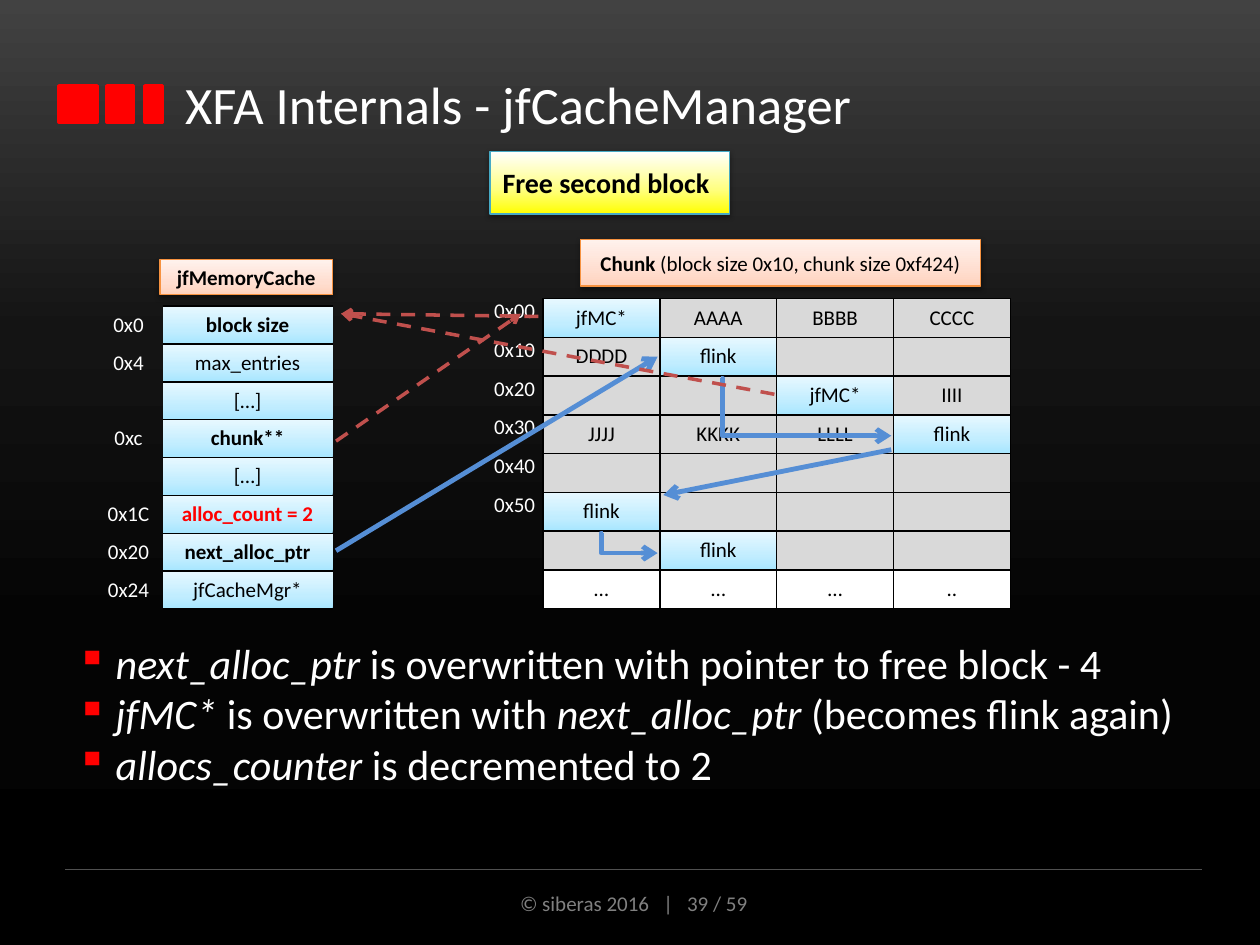
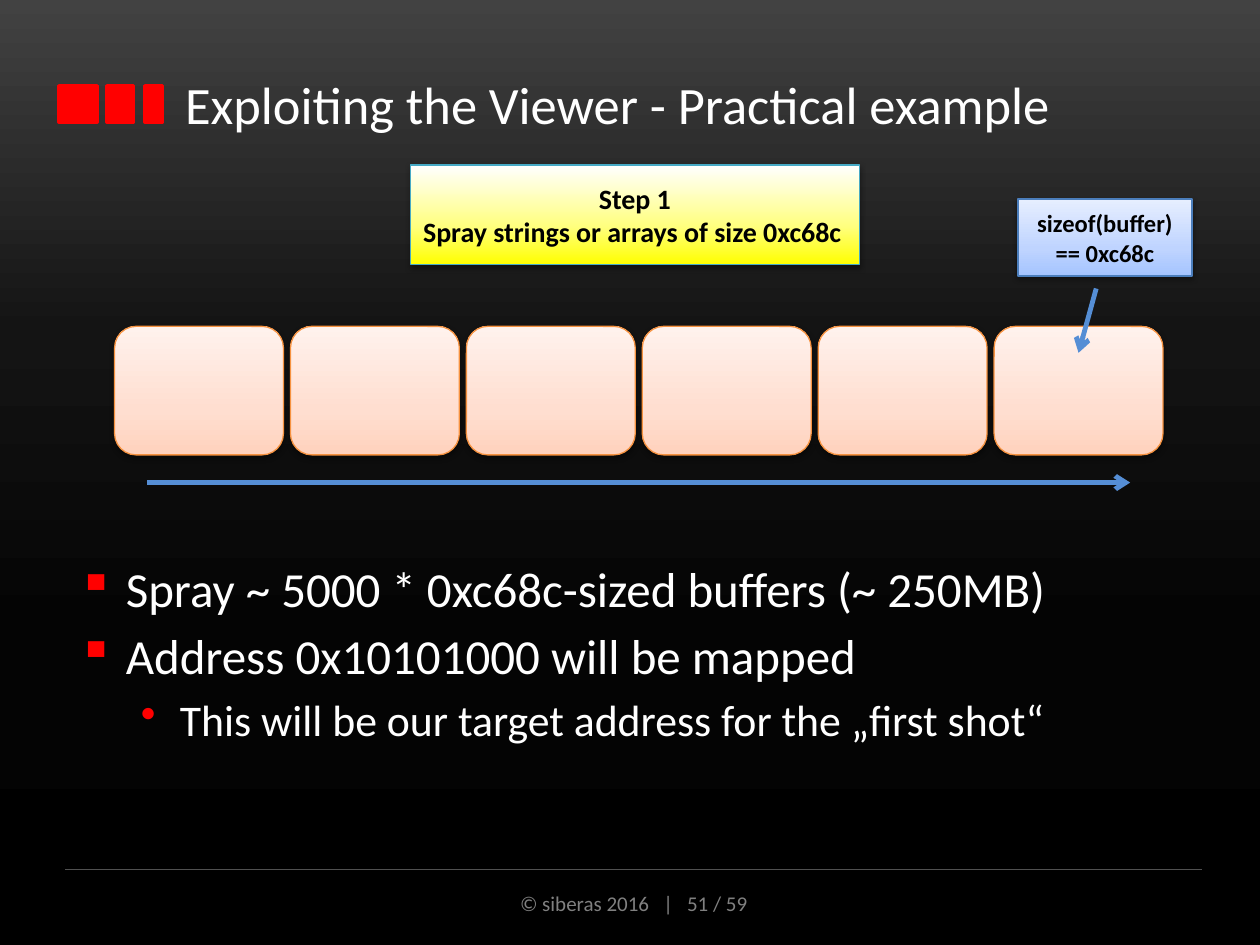
from dataclasses import dataclass

from lxml.etree import SubElement
from pptx import Presentation
from pptx.dml.color import RGBColor
from pptx.enum.dml import MSO_LINE
from pptx.enum.shapes import MSO_CONNECTOR, MSO_SHAPE
from pptx.enum.text import MSO_ANCHOR, PP_ALIGN
from pptx.oxml.ns import qn
from pptx.util import Inches, Pt

UNIT = Inches(0.1)
COLUMNS, ROWS = 100, 75
FONT = "Calibri"

WHITE = RGBColor(0xFF, 0xFF, 0xFF)
BLACK = RGBColor(0x00, 0x00, 0x00)
RED = RGBColor(0xFF, 0x00, 0x00)
FOOTER_GRAY = RGBColor(0x80, 0x80, 0x80)
RULE_GRAY = RGBColor(0x50, 0x50, 0x50)
CELL_GRAY = RGBColor(0xD9, 0xD9, 0xD9)
ARROW_BLUE = RGBColor(0x55, 0x8E, 0xD5)
ARROW_RED = RGBColor(0xC0, 0x50, 0x4D)
ORANGE_LINE = RGBColor(0xF6, 0x92, 0x40)
TEAL_LINE = RGBColor(0x46, 0xAA, 0xC5)
BLUE_LINE = RGBColor(0x4B, 0x7E, 0xBC)

NIGHT = [(0, RGBColor(0x42, 0x42, 0x42)), (35, RGBColor(0x14, 0x14, 0x14)),
         (67, RGBColor(0x04, 0x04, 0x04)), (100, BLACK)]
SKY = [(0, RGBColor(0xA7, 0xE6, 0xFF)), (35, RGBColor(0xC1, 0xED, 0xFF)),
       (100, RGBColor(0xE7, 0xF8, 0xFF))]
PEACH = [(0, RGBColor(0xFF, 0xD2, 0xBD)), (35, RGBColor(0xFF, 0xDE, 0xD0)),
         (100, RGBColor(0xFF, 0xF2, 0xED))]
YELLOW = [(0, RGBColor(0xFF, 0xFF, 0x00)), (39, RGBColor(0xFF, 0xFF, 0x80)),
          (100, WHITE)]
BLUE = [(0, RGBColor(0xA4, 0xC4, 0xFF)), (35, RGBColor(0xBF, 0xD4, 0xFF)),
        (100, RGBColor(0xE6, 0xEE, 0xFF))]

CACHE_ROWS = [
    ("0x0", "block size"), ("0x4", "max_entries"), ("", "[…]"), ("0xc", "chunk**"),
    ("", "[…]"), ("0x1C", "alloc_count = 2"), ("0x20", "next_alloc_ptr"),
    ("0x24", "jfCacheMgr*"),
]
CACHE_BOLD = {"block size", "chunk**", "alloc_count = 2", "next_alloc_ptr"}
CHUNK_ROWS = [
    ("0x00", "jfMC*", "AAAA", "BBBB", "CCCC"),
    ("0x10", "DDDD", "flink", "", ""),
    ("0x20", "", "", "jfMC*", "IIII"),
    ("0x30", "JJJJ", "KKKK", "LLLL", "flink"),
    ("0x40", "", "", "", ""),
    ("0x50", "flink", "", "", ""),
    ("", "", "flink", "", ""),
    ("", "…", "…", "…", ".."),
]


@dataclass
class Box:
    left: float
    top: float
    width: float
    height: float

    def inner(self, across, down, width, height):
        return Box(self.left + across, self.top + down, width, height)

    def point(self, across, down, columns=1, rows=1):
        return (self.left + across * self.width / columns,
                self.top + down * self.height / rows)

    def lengths(self):
        return [round(value * UNIT)
                for value in (self.left, self.top, self.width, self.height)]


def add_element(parent, tag, **attributes):
    return SubElement(parent, qn(tag), attributes)


def paint_gradient(fill, element, stops, angle=90):
    fill.gradient()
    fill.gradient_angle = angle
    stop_list = element.find(".//" + qn("a:gsLst"))
    for stop in list(stop_list):
        stop_list.remove(stop)
    for position, color in stops:
        stop = add_element(stop_list, "a:gs", pos=str(position * 1000))
        add_element(stop, "a:srgbClr", val=str(color))


def add_span(para, text, size, color, bold=False, italic=False):
    span = para.add_run()
    span.text = text
    font = span.font
    font.name, font.size, font.color.rgb = FONT, Pt(size), color
    font.bold, font.italic = bold, italic


def add_text(page, box):
    frame = page.shapes.add_textbox(*box.lengths()).text_frame
    frame.word_wrap = True
    return frame


def add_panel(page, box, stops, line_color, kind=MSO_SHAPE.RECTANGLE):
    panel = page.shapes.add_shape(kind, *box.lengths())
    paint_gradient(panel.fill, panel.element, stops)
    panel.line.color.rgb = line_color
    panel.line.width = Pt(0.75)
    panel.shadow.inherit = False
    effects = panel.element.spPr.find(qn("a:effectLst"))
    shadow = add_element(effects, "a:outerShdw", blurRad="40000", dist="20000",
                         dir="5400000", rotWithShape="0")
    color = add_element(shadow, "a:srgbClr", val=str(BLACK))
    add_element(color, "a:alpha", val="38000")
    return panel


def add_caption(page, box, stops, line_color, paragraphs, size):
    frame = add_panel(page, box, stops, line_color).text_frame
    frame.word_wrap = True
    frame.vertical_anchor = MSO_ANCHOR.MIDDLE
    for index, (alignment, spans) in enumerate(paragraphs):
        para = frame.add_paragraph() if index else frame.paragraphs[0]
        para.alignment = alignment
        for text, bold in spans:
            add_span(para, text, size, BLACK, bold)


def add_line(page, start, end, color, width, arrow=True, dashed=False, bend=None):
    kind = MSO_CONNECTOR.STRAIGHT if bend is None else MSO_CONNECTOR.ELBOW
    ends = [round(value * UNIT) for value in (*start, *end)]
    connector = page.shapes.add_connector(kind, *ends)
    connector.line.color.rgb = color
    connector.line.width = Pt(width)
    if dashed:
        connector.line.dash_style = MSO_LINE.DASH
    properties = connector.element.spPr
    if bend is not None:
        add_element(properties.find(".//" + qn("a:avLst")), "a:gd",
                    name="adj1", fmla=f"val {bend}")
    if arrow:
        add_element(properties.find(qn("a:ln")), "a:tailEnd", type="arrow")
    add_element(properties, "a:effectLst")


def add_bullets(page, box, items, gap=0):
    frame = add_text(page, box)
    for index, (level, mark, size, margin, hanging, spans) in enumerate(items):
        para = frame.add_paragraph() if index else frame.paragraphs[0]
        para.level = level
        properties = para._p.get_or_add_pPr()
        properties.set("marL", str(Inches(margin)))
        properties.set("indent", str(-Inches(hanging)))
        add_element(add_element(properties, "a:buClr"), "a:srgbClr", val=str(RED))
        add_element(properties, "a:buChar", char=mark)
        if index and gap:
            para.space_before = Pt(gap)
        for text, italic in spans:
            add_span(para, text, size, WHITE, italic=italic)


def add_borders(cell, sides):
    properties = cell._tc.get_or_add_tcPr()
    for side in sides:
        line = add_element(properties, f"a:ln{side}", w=str(Pt(1)))
        fill = add_element(line, "a:solidFill")
        add_element(fill, "a:srgbClr", val=str(BLACK))


def add_memory_table(page, box, rows, label_width, inset, sides, fill_for, style_for):
    values = len(rows[0]) - 1
    grid = box.inner(label_width, 0, box.width - label_width, box.height)
    table = page.shapes.add_table(len(rows), values + 1, *box.lengths()).table
    table.first_row = table.horz_banding = False
    table._tbl.tblPr.find(qn("a:tableStyleId")).text = \
        "{2D5ABB26-0587-4C30-8999-92F81FD0307C}"
    for index, column in enumerate(table.columns):
        column.width = round((grid.width / values if index else label_width) * UNIT)
    for row_index, row in enumerate(rows):
        table.rows[row_index].height = round(box.height / len(rows) * UNIT)
        for column_index, text in enumerate(row):
            cell = table.cell(row_index, column_index)
            cell.margin_left = cell.margin_right = Inches(inset)
            cell.margin_top = cell.margin_bottom = Inches(inset)
            color, bold = WHITE, False
            if column_index:
                color, bold = style_for(text)
                cell.vertical_anchor = MSO_ANCHOR.MIDDLE
                add_borders(cell, sides)
                fill = fill_for(row_index, text)
                if isinstance(fill, list):
                    paint_gradient(cell.fill, cell._tc, fill)
                else:
                    cell.fill.solid()
                    cell.fill.fore_color.rgb = fill
            else:
                cell.fill.background()
            para = cell.text_frame.paragraphs[0]
            para.alignment = PP_ALIGN.CENTER
            if text:
                add_span(para, text, 12, color, bold)
            else:
                para._p.get_or_add_endParaRPr().set("sz", "1200")
    return grid


def add_header(page, box, title):
    for across, width in ((0, 3), (3.8, 2.1), (6.8, 1.4)):
        block = page.shapes.add_shape(MSO_SHAPE.RECTANGLE,
                                      *box.inner(across, 2.9, width, 2.9).lengths())
        block.shadow.inherit = False
        block.fill.solid()
        block.fill.fore_color.rgb = block.line.color.rgb = RED
        block.line.width = Pt(2)
    frame = add_text(page, box.inner(9, 0, box.width - 9, box.height))
    frame.vertical_anchor = MSO_ANCHOR.MIDDLE
    add_span(frame.paragraphs[0], title, 30, WHITE)


def add_footer(page, box, number):
    add_line(page, box.point(0, 0), box.point(1, 0), RULE_GRAY, 0.75, arrow=False)
    para = add_text(page, box.inner(0, 1.2, box.width, 3)).paragraphs[0]
    para.alignment = PP_ALIGN.CENTER
    add_span(para, f"© siberas 2016   |   {number} / 59", 12, FOOTER_GRAY)


def add_page(deck, title, number):
    page = deck.slides.add_slide(deck.slide_layouts[6])
    paint_gradient(page.background.fill, page.element, NIGHT, angle=270)
    add_header(page, Box(4.7, 3.9, 90.2, 8.7), title)
    add_footer(page, Box(5.2, 69, 90.2, 4.2), number)
    return page


def add_cache(page, box):
    add_caption(page, box.inner(5.2, 0, 13.7, 2.8), PEACH, ORANGE_LINE,
                [(PP_ALIGN.CENTER, [("jfMemoryCache", True)])], 12)
    return add_memory_table(
        page, box.inner(0, 3.7, box.width, box.height - 3.7), CACHE_ROWS, 5.4, 0.05, "TB",
        lambda row, text: SKY,
        lambda text: (RED if text.startswith("alloc_count") else BLACK, text in CACHE_BOLD))


def add_chunk(page, box):
    add_caption(page, box.inner(7.5, 0, 31.7, 3.7), PEACH, ORANGE_LINE,
                [(PP_ALIGN.CENTER, [("Chunk ", True),
                                    ("(block size 0x10, chunk size 0xf424)", False)])], 12)

    def chunk_fill(row, text):
        if row == len(CHUNK_ROWS) - 1:
            return WHITE
        return SKY if text in ("jfMC*", "flink") else CELL_GRAY

    return add_memory_table(page, box.inner(0, 4.7, box.width, box.height - 4.7),
                            CHUNK_ROWS, 4.5, 0, "LRTB", chunk_fill,
                            lambda text: (BLACK, False))


def add_pointers(page, cache, chunk):
    def cached(across, down):
        return cache.point(across, down, 1, len(CACHE_ROWS))

    def chunked(across, down):
        return chunk.point(across, down, 4, len(CHUNK_ROWS))

    for start, end, bend in (
        (chunked(2.98, 3.9), chunked(1.03, 5.07), None),
        (cached(1.02, 6.47), chunked(0.98, 1.5), None),
        (chunked(0.51, 6.05), chunked(0.98, 6.57), -2800),
        (chunked(1.52, 2.05), chunked(2.98, 3.54), 900),
    ):
        add_line(page, start, end, ARROW_BLUE, 2.75, bend=bend)
    for start, end in (
        (cached(1.02, 3.57), chunked(-0.19, 0.39)),
        (chunked(-0.04, 0.46), cached(1.05, 0.2)),
        (chunked(1.98, 2.47), cached(1.05, 0.2)),
    ):
        add_line(page, start, end, ARROW_RED, 2, dashed=True)


def add_spray(page, box):
    count, gap = 6, 0.56
    width = (box.width - gap * (count - 1)) / count
    for index in range(count):
        add_panel(page, box.inner(index * (width + gap), 0, width, 10.2),
                  PEACH, ORANGE_LINE, MSO_SHAPE.ROUNDED_RECTANGLE)
    add_line(page, box.inner(2.6, 12.4, 0, 0).point(0, 0),
             box.inner(80.6, 12.4, 0, 0).point(0, 0), ARROW_BLUE, 2.75)
    add_caption(page, box.inner(71.7, -10.1, 13.8, 6.1), BLUE, BLUE_LINE,
                [(PP_ALIGN.CENTER, [("sizeof(buffer) == 0xc68c", True)])], 14)
    add_line(page, box.inner(77.9, -3, 0, 0).point(0, 0),
             box.inner(76.5, 2.1, 0, 0).point(0, 0), ARROW_BLUE, 2.75)


def build_cache_page(deck):
    page = add_page(deck, "XFA Internals - jfCacheManager", 39)
    cache = add_cache(page, Box(7.5, 20.6, 18.9, 27.7))
    chunk = add_chunk(page, Box(38.6, 19, 41.6, 29.3))
    add_caption(page, Box(38.9, 12, 19, 5), YELLOW, TEAL_LINE,
                [(PP_ALIGN.LEFT, [("Free second block", True)])], 16)
    add_pointers(page, cache, chunk)
    lines = [
        [("next_alloc_ptr ", True), ("is overwritten with pointer to free block - 4", False)],
        [("jfMC* ", True), ("is overwritten with ", False),
         ("next_alloc_ptr ", True), ("(becomes flink again)", False)],
        [("allocs_counter ", True), ("is decremented to 2", False)],
    ]
    add_bullets(page, Box(5.1, 50.1, 89.8, 13.1),
                [(0, "▪", 24, 0.31, 0.31, spans) for spans in lines])


def build_spray_page(deck):
    page = add_page(deck, "Exploiting the Viewer - Practical example", 51)
    add_caption(page, Box(32.6, 13.1, 35.6, 7.9), YELLOW, TEAL_LINE,
                [(PP_ALIGN.CENTER, [("Step 1", True)]),
                 (PP_ALIGN.LEFT, [("Spray strings or arrays of size 0xc68c", True)])], 16)
    add_spray(page, Box(9.1, 25.9, 83.2, 12.4))
    add_bullets(page, Box(5.2, 43.8, 90.2, 23.6), [
        (0, "▪", 28, 0.38, 0.38, [("Spray ~ 5000 * 0xc68c-sized buffers (~ 250MB)", False)]),
        (0, "▪", 28, 0.38, 0.38, [("Address 0x10101000 will be mapped", False)]),
        (1, "•", 25, 0.81, 0.31,
         [("This will be our target address for the „first shot“", False)]),
    ], gap=5)


def main():
    deck = Presentation()
    deck.slide_width, deck.slide_height = COLUMNS * UNIT, ROWS * UNIT
    build_cache_page(deck)
    build_spray_page(deck)
    deck.save("out.pptx")


if __name__ == "__main__":
    main()
